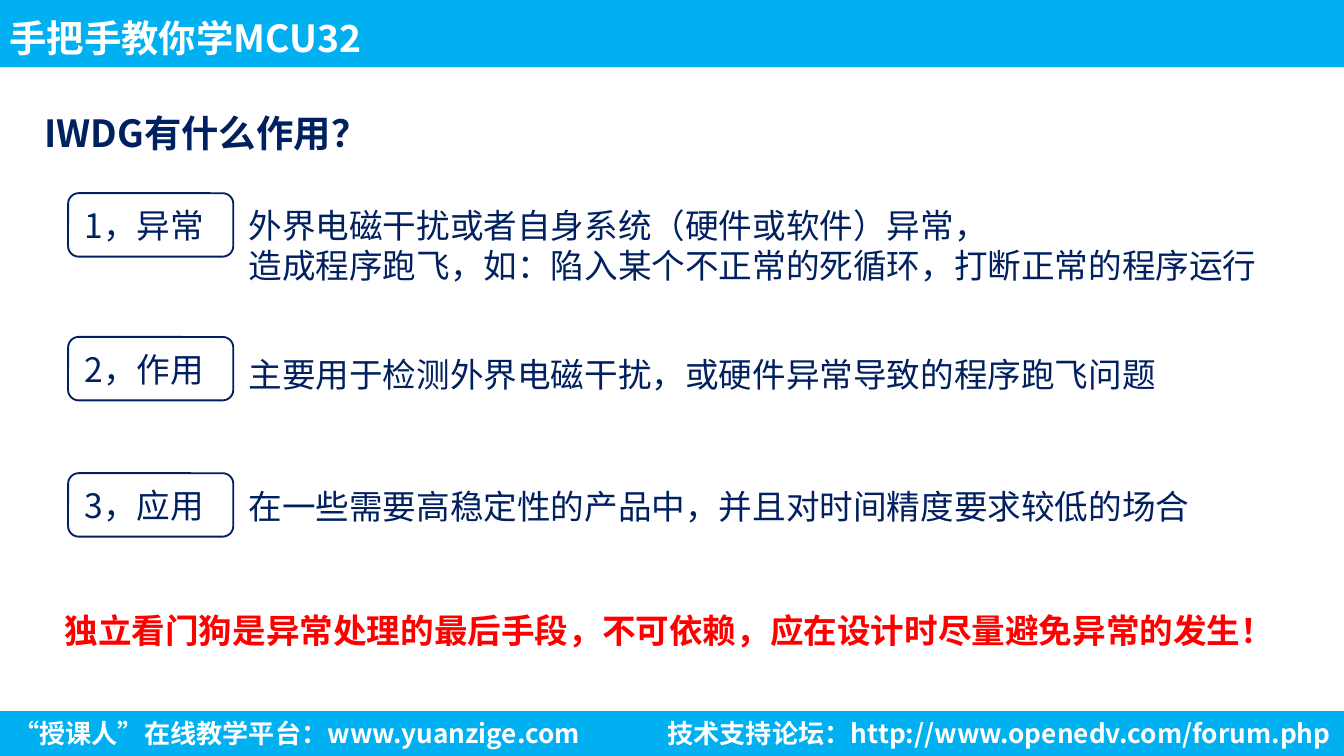
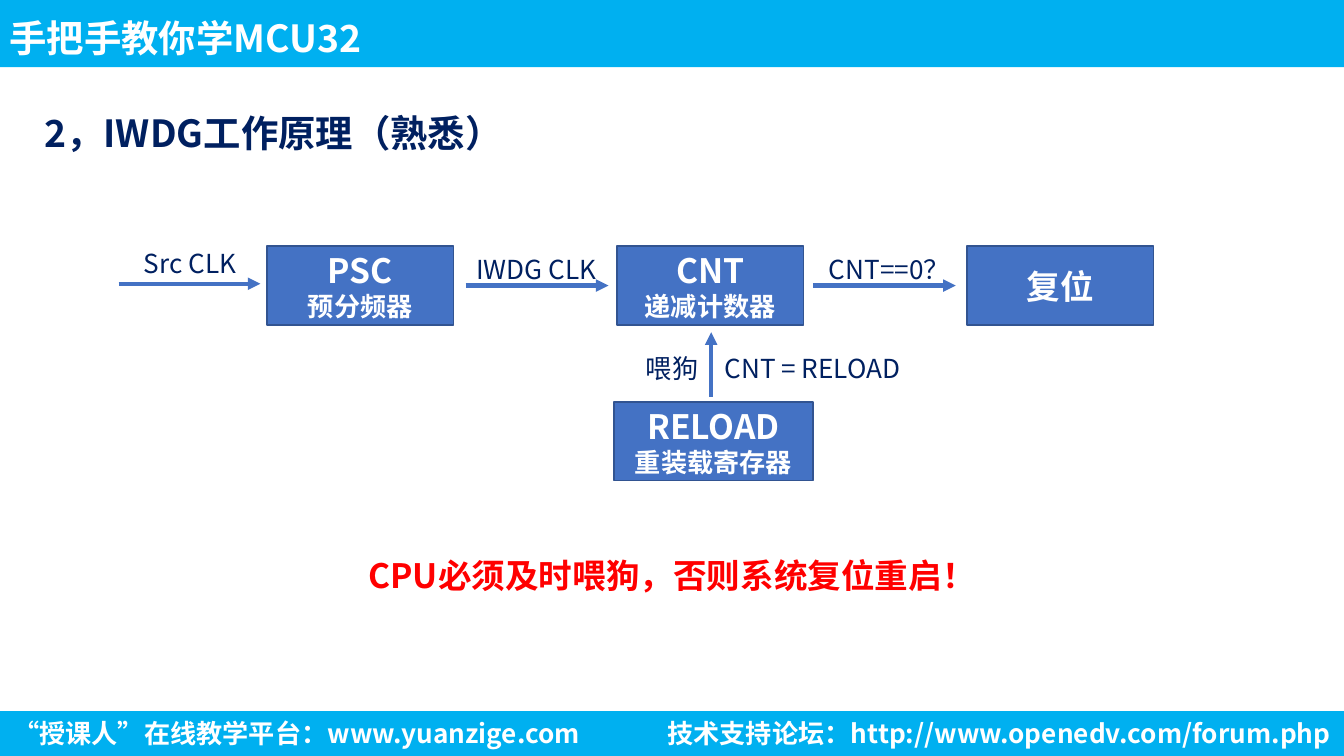
from lxml import etree
from pptx import Presentation
from pptx.dml.color import RGBColor
from pptx.enum import shapes, text
from pptx.oxml import ns
from pptx.util import Pt

FONT = "Noto Sans CJK SC"
SKY = RGBColor(0x00, 0xB0, 0xF0)
NAVY = RGBColor(0x00, 0x20, 0x60)
RED = RGBColor(0xFF, 0x00, 0x00)
BLUE = RGBColor(0x44, 0x72, 0xC4)
BLUE_EDGE = RGBColor(0x32, 0x54, 0x91)
WHITE = RGBColor(0xFF, 0xFF, 0xFF)
LEFT, CENTER, RIGHT = text.PP_ALIGN.LEFT, text.PP_ALIGN.CENTER, text.PP_ALIGN.RIGHT
TOP, MIDDLE = text.MSO_ANCHOR.TOP, text.MSO_ANCHOR.MIDDLE
WIDTH, HEIGHT = 720, 405
BAND_TOP = 381
TIGHT = (3.6, 1.8)


def write(shape, lines, color, bold=False, align=LEFT, anchor=TOP,
          spacing=1.0, insets=(7.2, 3.6), grow=False):
    frame = shape.text_frame
    frame.word_wrap = True
    frame.auto_size = (text.MSO_AUTO_SIZE.SHAPE_TO_FIT_TEXT if grow
                       else text.MSO_AUTO_SIZE.NONE)
    frame.vertical_anchor = anchor
    frame.margin_left = frame.margin_right = Pt(insets[0])
    frame.margin_top = frame.margin_bottom = Pt(insets[1])
    for number, (words, size) in enumerate(lines):
        paragraph = frame.add_paragraph() if number else frame.paragraphs[0]
        paragraph.alignment = align
        paragraph.line_spacing = spacing
        run = paragraph.add_run()
        run.text = words
        run.font.size = Pt(size)
        run.font.bold = bold
        run.font.color.rgb = color
        run.font.name = FONT
        east_asian = etree.SubElement(run.font._element, ns.qn("a:ea"))
        east_asian.set("typeface", FONT)


def add_text(slide, box, lines, color=NAVY, grow=True, **style):
    label = slide.shapes.add_textbox(*map(Pt, box))
    write(label, lines, color, grow=grow, **style)


def add_block(slide, kind, box, fill, edge=None):
    block = slide.shapes.add_shape(kind, *map(Pt, box))
    block.shadow.inherit = False
    block.fill.solid()
    block.fill.fore_color.rgb = fill
    if edge is None:
        block.line.fill.background()
    else:
        block.line.color.rgb = edge
        block.line.width = Pt(1)
    return block


def add_tag(slide, box, words):
    tag = add_block(slide, shapes.MSO_SHAPE.ROUNDED_RECTANGLE, box, WHITE, NAVY)
    write(tag, [(words, 18)], NAVY, anchor=MIDDLE)


def add_stage(slide, box, lines):
    stage = add_block(slide, shapes.MSO_SHAPE.RECTANGLE, box, BLUE, BLUE_EDGE)
    write(stage, lines, WHITE, bold=True, align=CENTER, anchor=MIDDLE)


def add_arrow(slide, start_x, start_y, end_x, end_y):
    arrow = slide.shapes.add_connector(
        shapes.MSO_CONNECTOR.STRAIGHT, *map(Pt, (start_x, start_y, end_x, end_y)))
    arrow.line.color.rgb = BLUE
    arrow.line.width = Pt(2.25)
    properties = arrow._element.spPr
    tail = etree.SubElement(properties.find(ns.qn("a:ln")), ns.qn("a:tailEnd"))
    tail.set("type", "triangle")
    etree.SubElement(properties, ns.qn("a:effectLst"))


def add_warning(slide, box, words, align=LEFT):
    add_text(slide, box, [(words, 18)], RED, bold=True, align=align,
             anchor=MIDDLE, spacing=1.5, insets=TIGHT)


def add_page(deck, heading):
    slide = deck.slides.add_slide(deck.slide_layouts[5])
    for top, height in ((BAND_TOP, HEIGHT - BAND_TOP), (0, 36)):
        add_block(slide, shapes.MSO_SHAPE.RECTANGLE, (0, top, WIDTH, height), SKY)
    add_text(slide, (0, 0, 464, 36), [("手把手教你学MCU32", 20)], WHITE, bold=True,
             anchor=MIDDLE, spacing=1.2, insets=(5, 2.9), grow=False)
    add_text(slide, (0, BAND_TOP, 423, 24),
             [("“授课人”在线教学平台：www.yuanzige.com", 14)], WHITE, bold=True)
    add_text(slide, (261, BAND_TOP, 459, 24),
             [("技术支持论坛：http://www.openedv.com/forum.php", 14)],
             WHITE, bold=True, align=RIGHT)
    title = slide.shapes.title
    title.left, title.top, title.width, title.height = map(Pt, (20, 45, 377, 36))
    write(title, [(heading, 20)], NAVY, bold=True, spacing=1.5,
          insets=TIGHT, grow=True)
    return slide


def build_purpose(deck):
    slide = add_page(deck, "IWDG有什么作用？")
    topics = (
        ("1，异常", 103.5, 106, 564,
         ("外界电磁干扰或者自身系统（硬件或软件）异常，",
          "造成程序跑飞，如：陷入某个不正常的死循环，打断正常的程序运行")),
        ("2，作用", 180.5, 186, 533,
         ("主要用于检测外界电磁干扰，或硬件异常导致的程序跑飞问题",)),
        ("3，应用", 253.5, 256.5, 533,
         ("在一些需要高稳定性的产品中，并且对时间精度要求较低的场合",)),
    )
    for name, tag_top, detail_top, detail_width, details in topics:
        add_tag(slide, (36.5, tag_top, 88.5, 34), name)
        add_text(slide, (126, detail_top, detail_width, 7 + 22 * len(details)),
                 [(detail, 18) for detail in details])
    add_warning(slide, (31, 315.5, 667, 33),
                "独立看门狗是异常处理的最后手段，不可依赖，应在设计时尽量避免异常的发生！")


def build_principle(deck):
    slide = add_page(deck, "2，IWDG工作原理（熟悉）")
    stages = (
        [("PSC", 18), ("预分频器", 14)],
        [("CNT", 18), ("递减计数器", 14)],
        [("复位", 18)],
    )
    for number, lines in enumerate(stages):
        add_stage(slide, (143 + 187.5 * number, 132, 100, 42), lines)
    add_stage(slide, (329, 215.5, 106.5, 42), [("RELOAD", 18), ("重装载寄存器", 14)])
    for ends in ((63.5, 152, 139.5, 152), (249.5, 153, 326, 153),
                 (435.5, 153, 512, 153), (381, 212.5, 381, 178)):
        add_arrow(slide, *ends)
    signals = (
        ("Src CLK", 70, 129, 100),
        ("IWDG CLK", 248, 132, 83),
        ("CNT==0？", 437, 132, 86),
        ("喂狗", 339, 185, 50),
        ("CNT = RELOAD", 381, 185, 113),
    )
    for signal, left, top, width in signals:
        add_text(slide, (left, top, width, 24), [(signal, 14)])
    add_warning(slide, (191.5, 286, 337, 33),
                "CPU必须及时喂狗，否则系统复位重启！", CENTER)


def main():
    deck = Presentation()
    deck.slide_width, deck.slide_height = Pt(WIDTH), Pt(HEIGHT)
    build_purpose(deck)
    build_principle(deck)
    deck.save("out.pptx")


if __name__ == "__main__":
    main()
